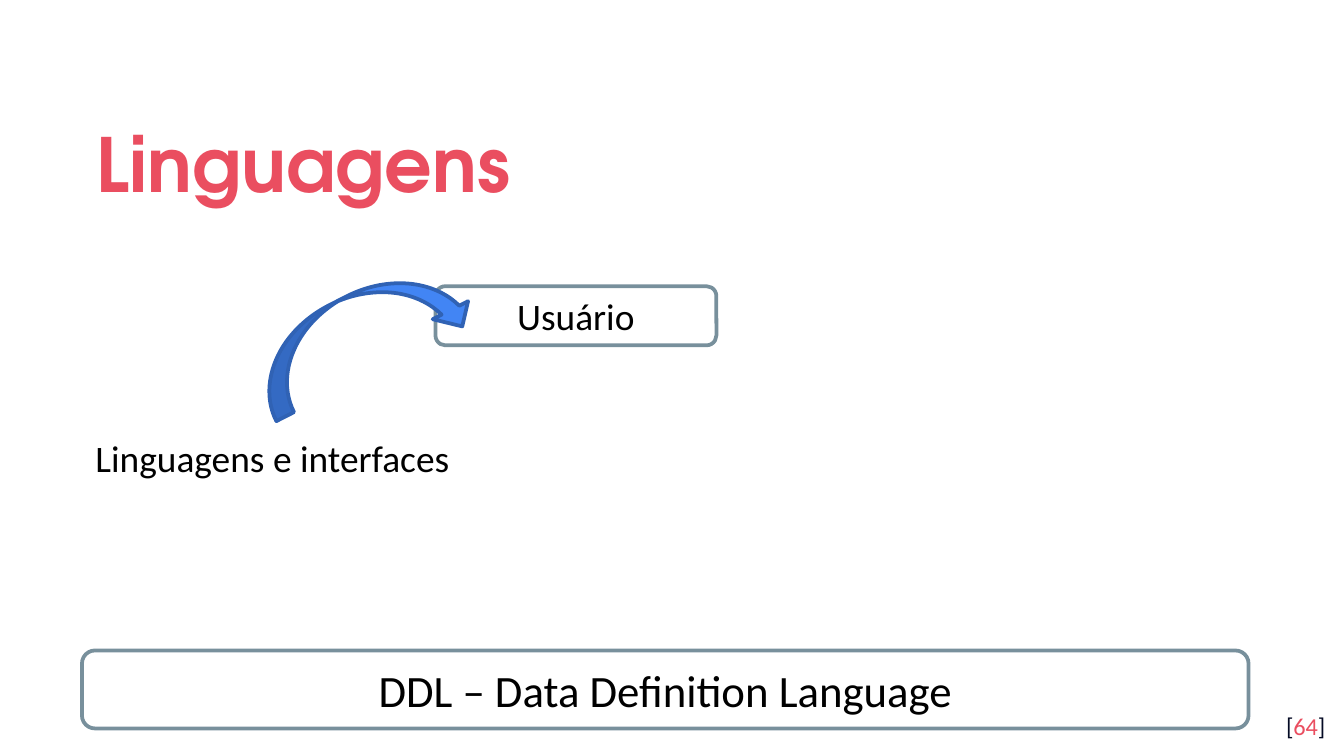
from lxml import etree
from pptx import Presentation
from pptx.dml.color import RGBColor
from pptx.enum.shapes import MSO_SHAPE
from pptx.enum.text import MSO_ANCHOR, MSO_AUTO_SIZE, PP_ALIGN
from pptx.oxml.ns import qn
from pptx.util import Inches, Pt

ROUNDED = MSO_SHAPE.ROUNDED_RECTANGLE
CURVED_ARROW = MSO_SHAPE.CURVED_DOWN_ARROW
MIDDLE = MSO_ANCHOR.MIDDLE
NO_AUTOFIT = MSO_AUTO_SIZE.NONE
LEFT, CENTER, RIGHT = PP_ALIGN.LEFT, PP_ALIGN.CENTER, PP_ALIGN.RIGHT

BODY_FONT = "Calibri"
TITLE_FONT = "TeX Gyre Adventor"
BLACK, WHITE, NAVY = "000000", "FFFFFF", "040A24"
CORAL, SLATE = "EA4E60", "78909C"
BLUE, DARK_BLUE = "4285F4", "3062B4"


def rgb(color):
    """Turn a hex string into a colour."""
    return RGBColor.from_string(color)


def style_font(font, size, color, name=BODY_FONT, bold=False):
    """Set the face, size, weight and colour of a font."""
    font.name, font.size, font.bold = name, Pt(size), bold
    font.color.rgb = rgb(color)


def set_frame(frame, margin=0.1):
    """Give a text frame equal margins, wrapping and no autofit."""
    frame.word_wrap = True
    frame.auto_size = NO_AUTOFIT
    frame.margin_left = frame.margin_right = Inches(margin)
    frame.margin_top = frame.margin_bottom = Inches(margin)


def fill_placeholder(placeholder, box, text, line_spacing):
    """Place a placeholder, write its text and return the paragraph."""
    placeholder.left, placeholder.top, placeholder.width, placeholder.height = map(Inches, box)
    frame = placeholder.text_frame
    set_frame(frame)
    frame.vertical_anchor = MIDDLE
    frame.text = text
    paragraph = frame.paragraphs[0]
    paragraph.alignment = LEFT
    paragraph.line_spacing = line_spacing
    paragraph.space_before = Pt(0)
    return paragraph


def remove_bullet(paragraph):
    """Drop the bullet and hanging indent of a paragraph."""
    properties = paragraph._p.get_or_add_pPr()
    properties.set("marL", "0")
    properties.set("indent", "0")
    etree.SubElement(properties, qn("a:buNone"))


def add_outlined(slide, kind, box, fill, line):
    """Add a filled preset shape with a 2 pt outline."""
    shape = slide.shapes.add_shape(kind, *map(Inches, box))
    shape.shadow.inherit = False
    shape.fill.solid()
    shape.fill.fore_color.rgb = rgb(fill)
    shape.line.color.rgb = rgb(line)
    shape.line.width = Pt(2)
    return shape


def add_label_box(slide, box, text, size):
    """Add a white rounded box with a centred label."""
    label_box = add_outlined(slide, ROUNDED, box, WHITE, SLATE)
    frame = label_box.text_frame
    set_frame(frame, 0.05)
    frame.vertical_anchor = MIDDLE
    frame.text = text
    label = frame.paragraphs[0]
    label.alignment = CENTER
    style_font(label.font, size, BLACK)


def add_page_number(slide, box, number):
    """Add the page number in square brackets."""
    frame = slide.shapes.add_textbox(*map(Inches, box)).text_frame
    set_frame(frame)
    paragraph = frame.paragraphs[0]
    paragraph.alignment = RIGHT
    for text, color in (("[", NAVY), (number, CORAL), ("]", NAVY)):
        run = paragraph.add_run()
        run.text = text
        style_font(run.font, 13, color)


def main():
    """Build the slide and save it."""
    presentation = Presentation()
    presentation.slide_width = Inches(10)
    presentation.slide_height = Inches(10 * 9 / 16)
    slide = presentation.slides.add_slide(presentation.slide_layouts[1])

    add_page_number(slide, (9.36, 5.19, 0.6, 0.43), "64")

    title = fill_placeholder(slide.shapes.title, (0.62, 0.7, 8.77, 0.92), "Linguagens", 1.15)
    style_font(title.font, 40, CORAL, TITLE_FONT, True)

    topic = fill_placeholder(
        slide.placeholders[1], (0.61, 2.05, 5.94, 2.67), "Linguagens e interfaces", 1.14)
    remove_bullet(topic)
    style_font(topic.font, 20, BLACK)

    add_label_box(slide, (3.24, 2.13, 2.09, 0.44), "Usuário", 20)
    arrow = add_outlined(slide, CURVED_ARROW, (1.83, 2.19, 1.7, 0.59), BLUE, DARK_BLUE)
    arrow.rotation = 333
    add_label_box(slide, (0.61, 4.84, 8.68, 0.58), "DDL – Data Definition Language", 24)

    presentation.save("out.pptx")


if __name__ == "__main__":
    main()
